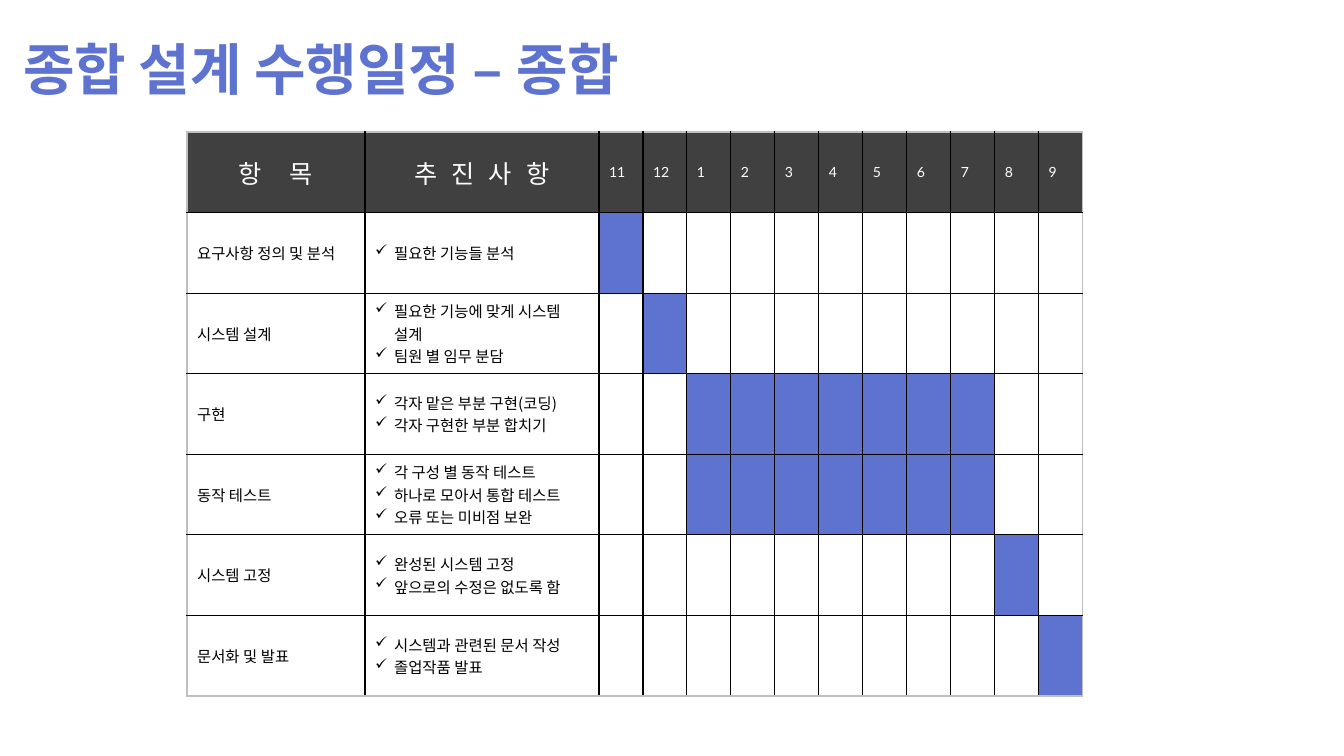
from lxml.etree import SubElement
from pptx import Presentation
from pptx.dml.color import RGBColor
from pptx.enum.text import MSO_ANCHOR as Anchor, MSO_AUTO_SIZE as AutoSize, PP_ALIGN as Align
from pptx.oxml.ns import qn
from pptx.util import Pt

SCALE = 914400 / 100.8
COLORS = {"accent": "5D73CF", "header": "404040", "white": "FFFFFF",
          "black": "000000", "edge": "BFBFBF"}
KOREAN = "Noto Sans CJK KR"
LATIN = "Lato"
MONTHS = ["11", "12", "1", "2", "3", "4", "5", "6", "7", "8", "9"]
TASKS = [
    ("요구사항 정의 및 분석", ["필요한 기능들 분석"], "11", "11"),
    ("시스템 설계", ["필요한 기능에 맞게 시스템 설계", "팀원 별 임무 분담"], "12", "12"),
    ("구현", ["각자 맡은 부분 구현(코딩)", "각자 구현한 부분 합치기"], "1", "7"),
    ("동작 테스트", ["각 구성 별 동작 테스트", "하나로 모아서 통합 테스트", "오류 또는 미비점 보완"], "1", "7"),
    ("시스템 고정", ["완성된 시스템 고정", "앞으로의 수정은 없도록 함"], "8", "8"),
    ("문서화 및 발표", ["시스템과 관련된 문서 작성", "졸업작품 발표"], "9", "9"),
]


def px(length):
    return round(length * SCALE)


def write(para, text, size, color, font=KOREAN, align=Align.LEFT, bold=False, spacing=0):
    para.alignment = align
    span = para.add_run()
    span.text = text
    for name, value in {"size": Pt(size), "bold": bold, "name": font}.items():
        setattr(span.font, name, value)
    span.font.color.rgb = RGBColor.from_string(COLORS[color])
    props = span.font._element
    SubElement(props, qn("a:ea"), typeface=KOREAN)
    if spacing:
        props.set("spc", str(spacing * 100))


deck = Presentation()
deck.slide_width, deck.slide_height = px(1344), px(756)
page = deck.slides.add_slide(deck.slide_layouts[5])

title = page.shapes.title
for name, value in {"left": 13, "top": 27, "width": 770, "height": 82}.items():
    setattr(title, name, px(value))
frame = title.text_frame
for name, value in {"auto_size": AutoSize.NONE, "vertical_anchor": Anchor.MIDDLE,
                    "word_wrap": True}.items():
    setattr(frame, name, value)
write(frame.paragraphs[0], "종합 설계 수행일정 – 종합", 40, "accent", bold=True)

widths = [178, 234] + [44] * len(MONTHS)
row_count = len(TASKS) + 1
schedule = page.shapes.add_table(row_count, len(widths), px(187), px(132),
                                 px(sum(widths)), px(564)).table
for name in ("first_row", "horz_banding"):
    setattr(schedule, name, False)
for column, width in zip(schedule.columns, widths):
    column.width = px(width)

for row in range(row_count):
    for col in range(len(widths)):
        cell = schedule.cell(row, col)
        cell.vertical_anchor = Anchor.MIDDLE
        outer = {"lnL": col == 0, "lnR": col == len(widths) - 1,
                 "lnT": row == 0, "lnB": row == row_count - 1}
        for side, at_edge in outer.items():
            line = SubElement(cell._tc.get_or_add_tcPr(), qn(f"a:{side}"), w=str(Pt(1)))
            paint = SubElement(line, qn("a:solidFill"))
            SubElement(paint, qn("a:srgbClr"), val=COLORS["edge" if at_edge else "black"])
        fill = "white"
        if row == 0:
            fill = "header"
        elif col >= 2:
            start, end = (MONTHS.index(month) for month in TASKS[row - 1][2:])
            if start <= col - 2 <= end:
                fill = "accent"
        cell.fill.solid()
        cell.fill.fore_color.rgb = RGBColor.from_string(COLORS[fill])

for col, (heading, spacing) in enumerate([("항 목", 8), ("추 진 사 항", 3)]):
    write(schedule.cell(0, col).text_frame.paragraphs[0], heading, 18, "white",
          LATIN, Align.CENTER, spacing=spacing)
for col, month in enumerate(MONTHS, 2):
    write(schedule.cell(0, col).text_frame.paragraphs[0], month, 10, "white",
          LATIN, Align.JUSTIFY)

for row, (task, steps, start, end) in enumerate(TASKS, 1):
    write(schedule.cell(row, 0).text_frame.paragraphs[0], task, 11, "black",
          align=Align.JUSTIFY)
    frame = schedule.cell(row, 1).text_frame
    for index, step in enumerate(steps):
        para = frame.add_paragraph() if index else frame.paragraphs[0]
        props = para._p.get_or_add_pPr()
        props.set("marL", str(px(19)))
        props.set("indent", str(px(-19)))
        SubElement(props, qn("a:buChar"), char="✓")
        write(para, step, 11, "black")

deck.save("out.pptx")
